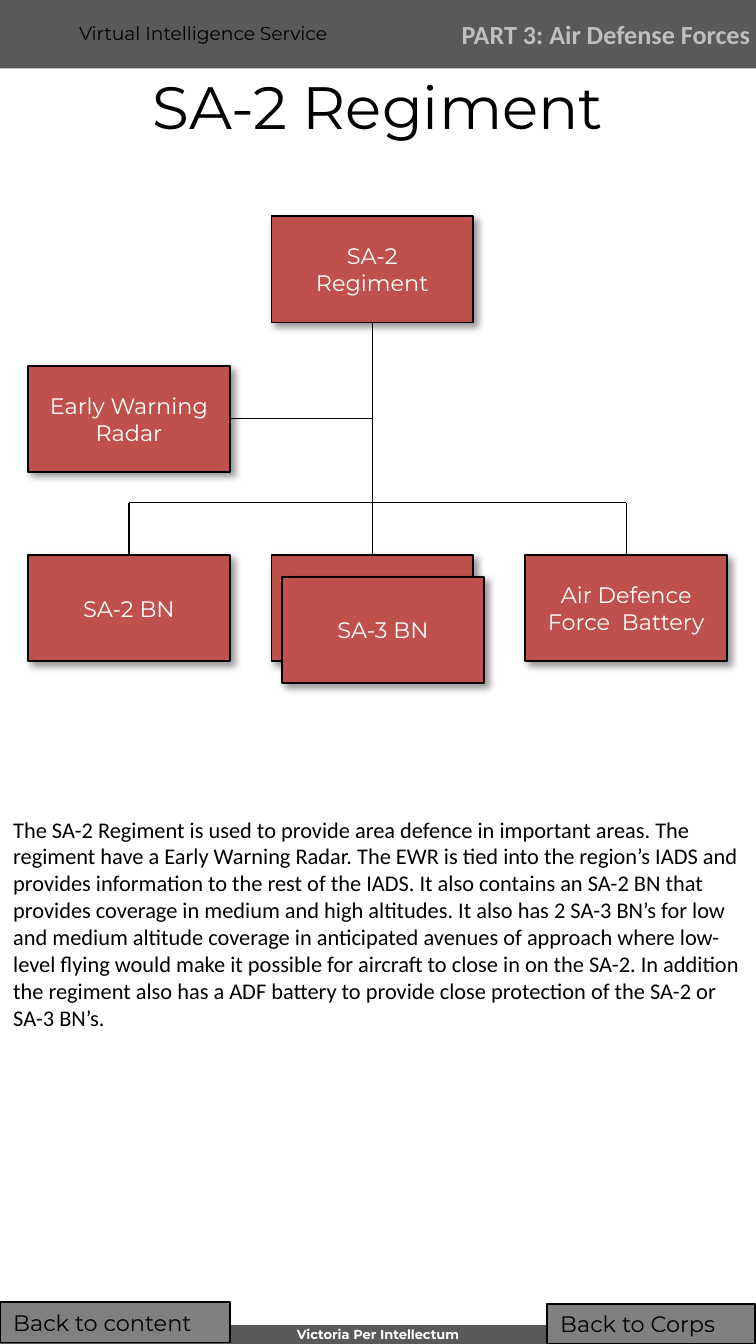
import pptx
import pptx.util
import pptx.dml.color
import pptx.enum.shapes
import pptx.enum.text
import pptx.oxml
import pptx.oxml.ns
import lxml.etree

Inches = pptx.util.Inches
Pt = pptx.util.Pt
ALIGN = pptx.enum.text.PP_ALIGN
ANCHOR = pptx.enum.text.MSO_ANCHOR

COLORS = {
    "band": "595959",
    "unit": "C0504D",
    "button": "808080",
    "part": "BFBFBF",
    "black": "000000",
    "white": "FFFFFF",
}
HEADING_FONT = "Montserrat"
BODY_FONT = "Calibri"
PAGE_HEIGHT = 10
PAGE_WIDTH = PAGE_HEIGHT * 9 / 16
UNIT_WIDTH, UNIT_HEIGHT = 1.5, 0.79
LEFT_X, MIDDLE_X, RIGHT_X = 0.21, 2.02, 3.91
TOP_Y, RADAR_Y, BOTTOM_Y = 1.61, 2.72, 4.13
BRANCH_Y = 3.74

DESCRIPTION = (
    "The SA-2 Regiment is used to provide area defence in important areas. "
    "The regiment have a Early Warning Radar. The EWR is tied into the region’s "
    "IADS and provides information to the rest of the IADS. It also contains an "
    "SA-2 BN that provides coverage in medium and high altitudes. It also has "
    "2 SA-3 BN’s for low and medium altitude coverage in anticipated avenues of "
    "approach where low-level flying would make it possible for aircraft to close "
    "in on the SA-2. In addition the regiment also has a ADF battery to provide "
    "close protection of the SA-2 or SA-3 BN’s."
)


def rgb(name):
    return pptx.dml.color.RGBColor.from_string(COLORS[name])


def write_text(box, text, size, color="black", font=HEADING_FONT, bold=False,
               align=ALIGN.LEFT, anchor=ANCHOR.TOP):
    frame = box.text_frame
    frame.text = text
    frame.word_wrap = True
    frame.vertical_anchor = anchor
    for para in frame.paragraphs:
        para.alignment = align
        for span in para.runs:
            span.font.size = Pt(size)
            span.font.name = font
            span.font.bold = bold
            span.font.color.rgb = rgb(color)


def add_label(page, left, top, width, height, text, size, **style):
    box = page.shapes.add_textbox(
        Inches(left), Inches(top), Inches(width), Inches(height))
    write_text(box, text, size, **style)
    return box


def add_rectangle(page, left, top, width, height, fill, outlined=True):
    box = page.shapes.add_shape(
        pptx.enum.shapes.MSO_SHAPE.RECTANGLE,
        Inches(left), Inches(top), Inches(width), Inches(height))
    box.shadow.inherit = False
    box.fill.solid()
    box.fill.fore_color.rgb = rgb(fill)
    if outlined:
        box.line.color.rgb = rgb("black")
        box.line.width = Pt(1)
    else:
        box.line.fill.background()
    return box


def add_shadow(box):
    effects = box._element.spPr.find(pptx.oxml.ns.qn("a:effectLst"))
    effects.append(pptx.oxml.parse_xml(
        f'<a:outerShdw {pptx.oxml.ns.nsdecls("a")} blurRad="{Pt(4)}" '
        f'dist="{Pt(3)}" dir="2700000" algn="tl" rotWithShape="0">'
        f'<a:srgbClr val="{COLORS["black"]}"><a:alpha val="40000"/></a:srgbClr>'
        '</a:outerShdw>'))


def add_unit(page, left, top, text):
    box = add_rectangle(page, left, top, UNIT_WIDTH, UNIT_HEIGHT, "unit")
    add_shadow(box)
    write_text(box, text, 12, color="white", align=ALIGN.CENTER,
               anchor=ANCHOR.MIDDLE)


def add_button(page, left, top, width, text):
    box = add_rectangle(page, left, top, width, 0.3, "button")
    write_text(box, text, 12)


def add_line(page, x1, y1, x2, y2):
    line = page.shapes.add_connector(
        pptx.enum.shapes.MSO_CONNECTOR.STRAIGHT,
        Inches(x1), Inches(y1), Inches(x2), Inches(y2))
    line.line.color.rgb = rgb("black")
    line.line.width = Pt(0.75)
    lxml.etree.SubElement(
        line._element.spPr, pptx.oxml.ns.qn("a:effectLst"))


def add_bands(page):
    add_rectangle(page, 0, 0, PAGE_WIDTH, 0.51, "band", outlined=False)
    add_rectangle(page, 0, 9.86, PAGE_WIDTH, 0.14, "band", outlined=False)
    add_label(page, 0.49, 0.11, 3.86, 0.27, "Virtual Intelligence Service", 10)
    motto = add_label(page, 0, 9.87, PAGE_WIDTH, 0.12, "Victoria Per Intellectum",
                      7, color="white", bold=True, align=ALIGN.CENTER)
    frame = motto.text_frame
    frame.margin_left = frame.margin_right = 0
    frame.margin_top = frame.margin_bottom = 0
    add_label(page, 3.26, 0, 2.5, 0.51, "PART 3: Air Defense Forces", 14,
              color="part", font=BODY_FONT, bold=True, align=ALIGN.CENTER,
              anchor=ANCHOR.MIDDLE)


def add_title(page, text):
    title = page.shapes.title
    title.left, title.top = Inches(0), Inches(0.51)
    title.width, title.height = Inches(PAGE_WIDTH), Inches(0.55)
    write_text(title, text, 32, align=ALIGN.CENTER, anchor=ANCHOR.MIDDLE)


def add_organisation_chart(page):
    # Units, with two SA-3 battalions stacked
    add_unit(page, MIDDLE_X, TOP_Y, "SA-2\nRegiment")
    add_unit(page, LEFT_X, BOTTOM_Y, "SA-2 BN")
    add_unit(page, LEFT_X, RADAR_Y, "Early Warning Radar")
    add_unit(page, RIGHT_X, BOTTOM_Y, "Air Defence Force  Battery")
    for dx, dy in ((0, 0), (0.08, 0.16)):
        add_unit(page, MIDDLE_X + dx, BOTTOM_Y + dy, "SA-3 BN")

    # Trunk, radar link and branches
    left, trunk, right = (x + UNIT_WIDTH / 2 for x in (LEFT_X, MIDDLE_X, RIGHT_X))
    radar_y = RADAR_Y + UNIT_HEIGHT / 2
    add_line(page, trunk, TOP_Y + UNIT_HEIGHT, trunk, BOTTOM_Y)
    add_line(page, LEFT_X + UNIT_WIDTH, radar_y, trunk, radar_y)
    for x in (left, right):
        add_line(page, x, BRANCH_Y, x, BOTTOM_Y)
    add_line(page, right, BRANCH_Y, left, BRANCH_Y)


def main():
    deck = pptx.Presentation()
    deck.slide_width = Inches(PAGE_WIDTH)
    deck.slide_height = Inches(PAGE_HEIGHT)
    page = deck.slides.add_slide(deck.slide_layouts.get_by_name("Title Only"))

    add_bands(page)
    add_title(page, "SA-2 Regiment")
    add_organisation_chart(page)
    add_label(page, 0, 6.02, PAGE_WIDTH, 2.12, DESCRIPTION, 12, font=BODY_FONT)

    # Navigation
    add_button(page, 0, 9.69, 1.71, "Back to content")
    add_button(page, 4.07, 9.7, 1.55, "Back to Corps")

    deck.save("out.pptx")


if __name__ == "__main__":
    main()
